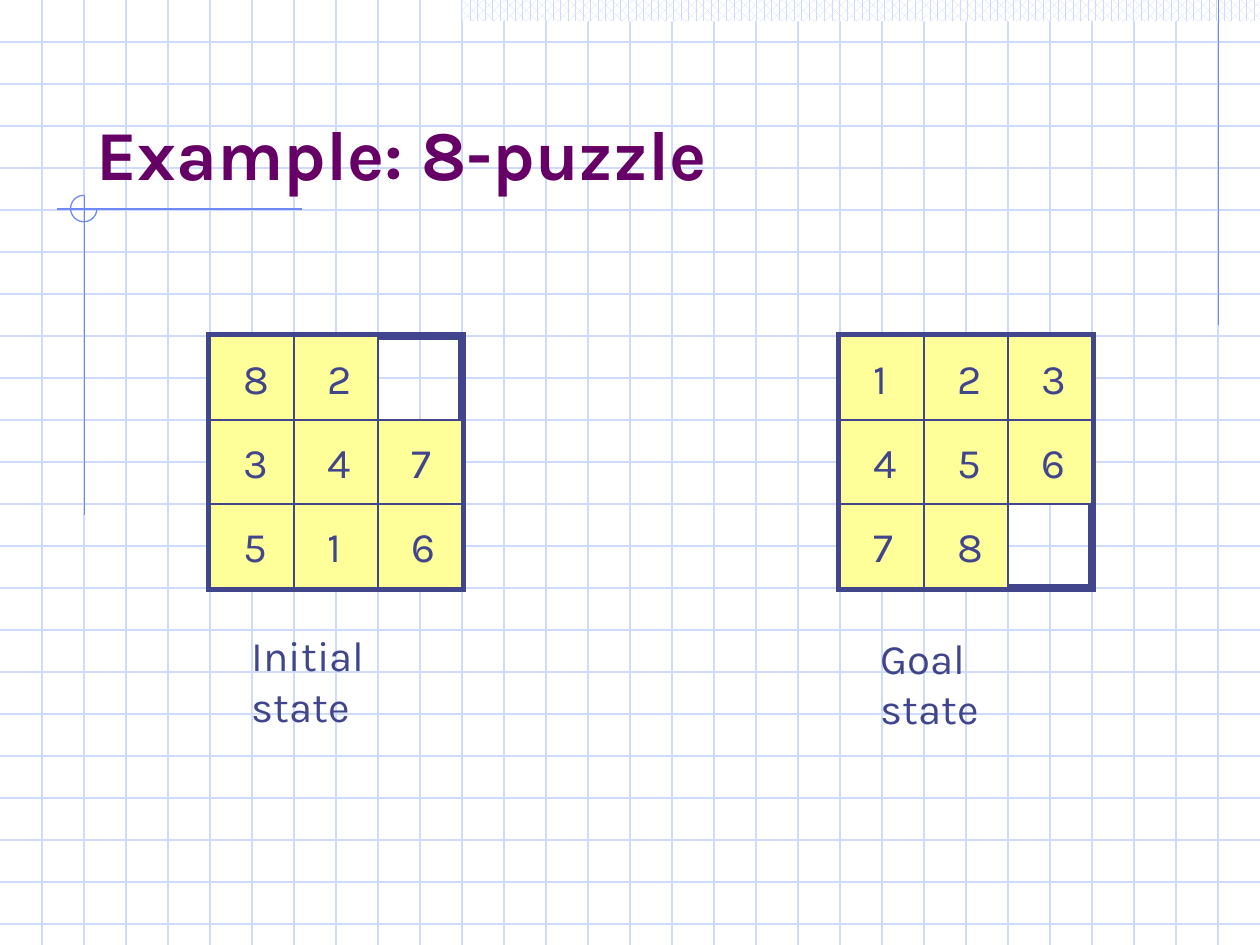
"""Build the 8-puzzle slide with its initial and goal boards."""
from lxml.etree import SubElement
from pptx import Presentation
from pptx.dml.color import RGBColor
from pptx.enum.dml import MSO_PATTERN as Pat
from pptx.enum.shapes import MSO_CONNECTOR as Conn, MSO_SHAPE as Kind
from pptx.enum.text import MSO_ANCHOR as Anchor, MSO_AUTO_SIZE as Auto
from pptx.oxml.ns import qn
from pptx.util import Inches, Pt

INK, RULE, PALE = "40458C", "6F89F7", "CFDBFD"
hue = RGBColor.from_string

deck = Presentation()
deck.slide_width, deck.slide_height = Inches(10), Inches(7.5)
slide = deck.slides.add_slide(deck.slide_layouts[6])
shapes = slide.shapes


def draw(kind, box, line=None, width=0.75, fill=None):
    shape = shapes.add_shape(kind, *map(Inches, box))
    shape.shadow.inherit = False
    if fill:
        shape.fill.solid()
        shape.fill.fore_color.rgb = hue(fill)
    else:
        shape.fill.background()
    if line:
        shape.line.color.rgb = hue(line)
        shape.line.width = Pt(width)
        SubElement(shape._element.spPr.find(qn("a:ln")), qn("a:miter"), lim="800000")
    else:
        shape.line.fill.background()
    return shape


def write(text, box, wrap=True, size=24, color=INK, bold=False):
    frame = shapes.add_textbox(*map(Inches, box)).text_frame
    frame.word_wrap = wrap
    frame.auto_size = Auto.SHAPE_TO_FIT_TEXT
    run = frame.paragraphs[0].add_run()
    run.text = text
    run.font.name = "Karla"
    run.font.size = Pt(size)
    run.font.bold = bold
    run.font.color.rgb = hue(color)
    return frame


strip = draw(Kind.RECTANGLE, (3.67, 0, 6.33, 0.17))
strip.fill.patterned()
strip.fill.pattern = Pat.PERCENT_60
strip.fill.fore_color.rgb = hue(PALE)
strip.fill.back_color.rgb = hue("FFFFFF")

rules = [(PALE, (0, n / 3, 10, n / 3)) for n in range(1, 23)]
rules += [(PALE, (n / 3, 0, n / 3, 7.5)) for n in range(1, 30)]
rules += [
    (RULE, (9.67, 0, 9.67, 2.58)),
    (RULE, (2.4, 1.66, 0.45, 1.66)),
    (RULE, (0.67, 1.55, 0.67, 4.09)),
]
for color, ends in rules:
    rule = shapes.add_connector(Conn.STRAIGHT, *map(Inches, ends))
    rule.line.color.rgb = hue(color)
    rule.line.width = Pt(0.75)
    SubElement(rule._element.spPr, qn("a:effectLst"))
    if color == PALE:
        strip._element.addprevious(rule._element)

arc = draw(Kind.ARC, (0.56, 1.55, 0.21, 0.21), RULE)
arc.adjustments[0] = 0
arc.adjustments[1] = 162

title = write("Example: 8-puzzle", (0.67, 0.34, 8.5, 1.25), size=40, color="660066", bold=True)
title.auto_size = Auto.NONE
title.vertical_anchor = Anchor.BOTTOM

side, top = 2 / 3, 8 / 3
boards = [
    (5 / 3, ["82 ", "347", "516"], "Initial state", (1.9, 4.95, 1.85, 0.5)),
    (20 / 3, ["123", "456", "78 "], "Goal state", (6.89, 4.97, 1.68, 0.5)),
]
for left, rows, name, spot in boards:
    draw(Kind.RECTANGLE, (left, top, 3 * side, 3 * side), INK, 4.5)
    for row, digits in enumerate(rows):
        for col, digit in enumerate(digits):
            if digit == " ":
                continue
            x, y = left + col * side, top + row * side
            draw(Kind.RECTANGLE, (x, y, side, side), INK, fill="FFFF99")
            write(digit, (x + side / 4, y + side / 8, 0.38, 0.5), wrap=False)
    write(name, spot)

deck.save("out.pptx")
